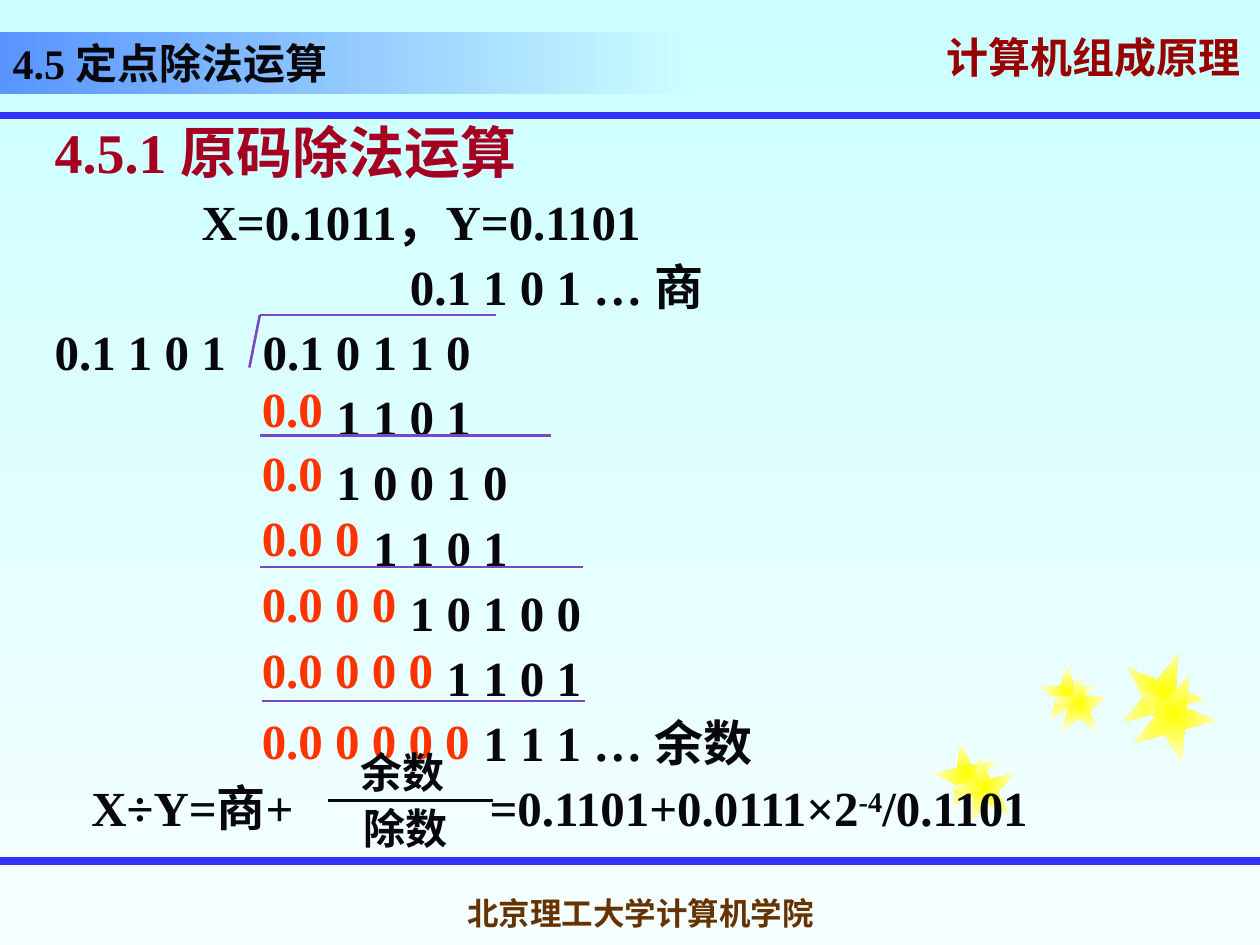
from dataclasses import dataclass

from lxml import etree
from pptx import Presentation
from pptx import util as u
from pptx.dml.color import RGBColor
from pptx.enum import shapes, text
from pptx.oxml import ns

COLUMN = u.Inches(10) // 120
SPACE = 7


@dataclass(frozen=True)
class Theme:
    latin: str = "Times New Roman"
    chinese: str = "Noto Sans CJK SC"
    ink: str = "08080C"
    heading: str = "A50021"
    course: str = "990000"
    school: str = "663300"
    zero: str = "FF3300"
    rule: str = "3333FF"
    division: str = "7A48C4"
    sky: tuple = ("CCFFFF", "F5FFFF")
    banner: tuple = ("5994FF", "CCFFFF")
    star: tuple = ("FFFF00", "FFFFE9")
    section: int = 32
    working: int = 28
    label: int = 24
    footer: int = 18


THEME = Theme()

STARS = [
    (89, 70.75, 6, -11), (98.9, 63.25, 5.5, 0), (106.75, 62, 8, 22),
    (90.75, 72, 6, -11), (100, 64.25, 5.5, 0), (107.75, 64, 8, 22),
]
WORKING = [
    (12, "X=0.1011，Y=0.1101", 0, ""),
    (29, "0.1 1 0 1 … 商", 0, ""),
    (0, "0.1 1 0 1", 3, "0.1 0 1 1 0"),
    (23, "1 1 0 1", 0, ""),
    (23, "1 0 0 1 0", 0, ""),
    (26, "1 1 0 1", 0, ""),
    (29, "1 0 1 0 0", 0, ""),
    (32, "1 1 0 1", 0, ""),
    (35, "1 1 1 … 余数", 0, ""),
    (3, "X÷Y=商+", 16, "=0.1101+0.0111×2"),
]
LEADING_ZEROS = [(1, 1), (0.5, 1), (0.6, 2), (0.6, 3), (0.6, 4), (0.7, 5)]
DIVISION_LINES = [
    (24.75, 30, 47.25, 30), (24.75, 30, 23.75, 35),
    (24.75, 41.5, 52.5, 41.5), (24.75, 54, 55.5, 54),
    (25, 66.75, 55.75, 66.75),
]


def grid(*cells):
    return [u.Emu(round(cell * COLUMN)) for cell in cells]


def add_element(parent, tag, **attributes):
    return etree.SubElement(parent, ns.qn(tag), attributes)


def gradient(fill, colours, angle):
    fill.gradient()
    fill.gradient_angle = angle
    for stop, colour in zip(fill.gradient_stops, colours):
        stop.color.rgb = RGBColor.from_string(colour)
        stop.position = colours.index(colour)


def add_span(para, words):
    span = para.add_run()
    span.text = words
    return span


def write(para, words, size, colour, before=0, spacing=1):
    para.space_before = u.Pt(before)
    para.line_spacing = spacing
    font = para.font
    font.size = u.Pt(size)
    font.bold = True
    font.color.rgb = RGBColor.from_string(colour)
    font.name = THEME.latin
    add_element(font._element, "a:ea", typeface=THEME.chinese)
    add_span(para, words)


def add_box(page, cells, anchor=text.MSO_ANCHOR.TOP):
    frame = page.shapes.add_textbox(*grid(*cells)).text_frame
    frame.word_wrap = True
    frame.vertical_anchor = anchor
    return frame


def add_label(page, cells, words, size, colour, anchor=text.MSO_ANCHOR.TOP):
    para = add_box(page, cells, anchor).paragraphs[0]
    para.alignment = text.PP_ALIGN.CENTER
    write(para, words, size, colour, spacing=u.Pt(1.15 * size))


def add_line(page, ends, colour, width):
    line = page.shapes.add_connector(shapes.MSO_CONNECTOR.STRAIGHT, *grid(*ends))
    line.line.color.rgb = RGBColor.from_string(colour)
    line.line.width = u.Pt(width)
    add_element(line._element.spPr, "a:effectLst")


def add_star(page, left, top, size, turn):
    star = page.shapes.add_shape(
        shapes.MSO_SHAPE.STAR_5_POINT, *grid(left, top, size, size))
    star.rotation = turn
    star.shadow.inherit = False
    star.line.fill.background()
    gradient(star.fill, THEME.star, 0)
    linear = star._element.spPr.find(".//" + ns.qn("a:lin"))
    route = etree.Element(ns.qn("a:path"), {"path": "rect"})
    add_element(route, "a:fillToRect", l="50000", t="50000", r="50000", b="50000")
    linear.getparent().replace(linear, route)


def place(page, box, cells):
    box.left, box.top, box.width, box.height = grid(*cells)
    page.shapes._spTree.append(box._element)
    box.text_frame.auto_size = text.MSO_AUTO_SIZE.NONE
    return box.text_frame


def prepare(para, spaces=0):
    para.alignment = text.PP_ALIGN.JUSTIFY
    layout = para._p.get_or_add_pPr()
    layout.set("marL", str(u.Pt(spaces * SPACE)))
    layout.set("indent", "0")
    add_element(layout, "a:buNone")


def add_gap(para, spaces):
    gap = add_span(para, " ")
    gap.font._element.set("spc", str((spaces - 1) * SPACE * 100))


def add_header(page):
    para = add_box(page, (89, 3, 31, 6), text.MSO_ANCHOR.MIDDLE).paragraphs[0]
    write(para, "计算机组成原理", THEME.label, THEME.course, spacing=0.7)
    for row in (11, 82):
        add_line(page, (0, row, 120, row), THEME.rule, 4.5)


def fill_title(page):
    title = page.shapes.title
    frame = place(page, title, (0, 3, 66, 6))
    gradient(title.fill, THEME.banner, 0)
    frame.vertical_anchor = text.MSO_ANCHOR.BOTTOM
    para = frame.paragraphs[0]
    prepare(para)
    write(para, "4.5 定点除法运算", THEME.label, THEME.ink)


def fill_working(page):
    frame = place(page, page.placeholders[1], (4, 11.25, 108, 70.75))
    frame.vertical_anchor = text.MSO_ANCHOR.TOP
    para = frame.paragraphs[0]
    prepare(para)
    write(para, "4.5.1 原码除法运算", THEME.section, THEME.heading,
          spacing=u.Pt(34.5))
    for spaces, words, gap, rest in WORKING:
        para = frame.add_paragraph()
        prepare(para, spaces)
        write(para, words, THEME.working, THEME.ink, 7, u.Pt(30.25))
        if gap:
            add_gap(para, gap)
            add_span(para, rest)
    add_span(para, "-4").font._element.set("baseline", "30000")
    add_span(para, "/0.1101")


def add_leading_zeros(page):
    frame = add_box(page, (23.75, 35.5, 37.25, 38.25))
    for index, (spacing, count) in enumerate(LEADING_ZEROS):
        para = frame.add_paragraph() if index else frame.paragraphs[0]
        write(para, "0." + " ".join("0" * count), THEME.working, THEME.zero,
              17.5 if index else 0, spacing)


def main():
    deck = Presentation()
    deck.slide_width, deck.slide_height = grid(120, 90)
    page = deck.slides.add_slide(deck.slide_layouts[1])
    gradient(page.background.fill, THEME.sky, 270)
    add_header(page)
    for star in STARS:
        add_star(page, *star)
    add_label(page, (42, 84, 38, 6), "北京理工大学计算机学院",
              THEME.footer, THEME.school, text.MSO_ANCHOR.MIDDLE)
    fill_title(page)
    fill_working(page)
    for ends in DIVISION_LINES:
        add_line(page, ends, THEME.division, 1.5)
    add_leading_zeros(page)
    add_label(page, (27.25, 70.75, 22.25, 6), "余数", THEME.label, THEME.ink)
    add_label(page, (27.5, 76, 22.25, 6), "除数", THEME.label, THEME.ink)
    add_line(page, (31.25, 76.25, 47, 76.25), THEME.ink, 1.5)
    deck.save("out.pptx")


if __name__ == "__main__":
    main()
